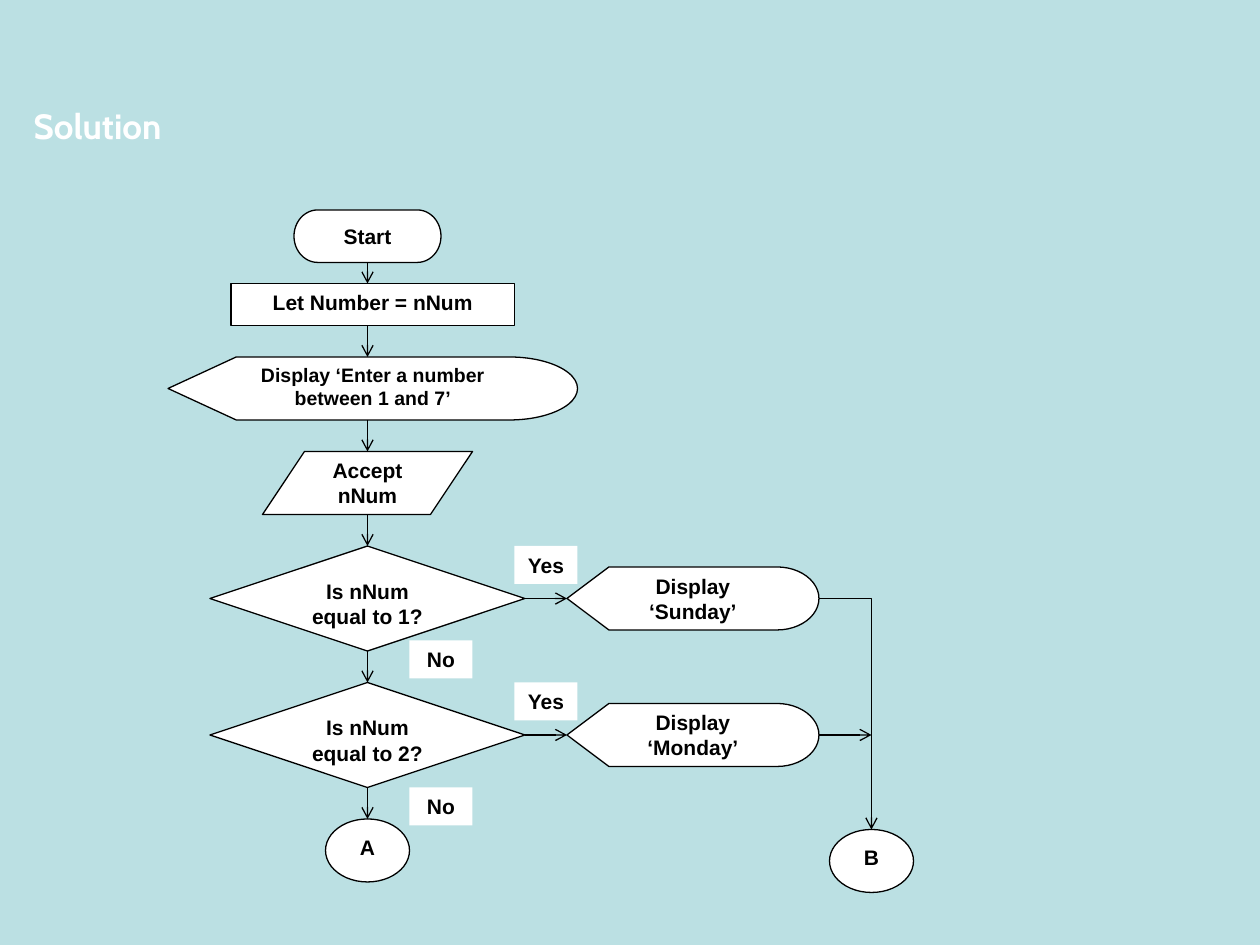
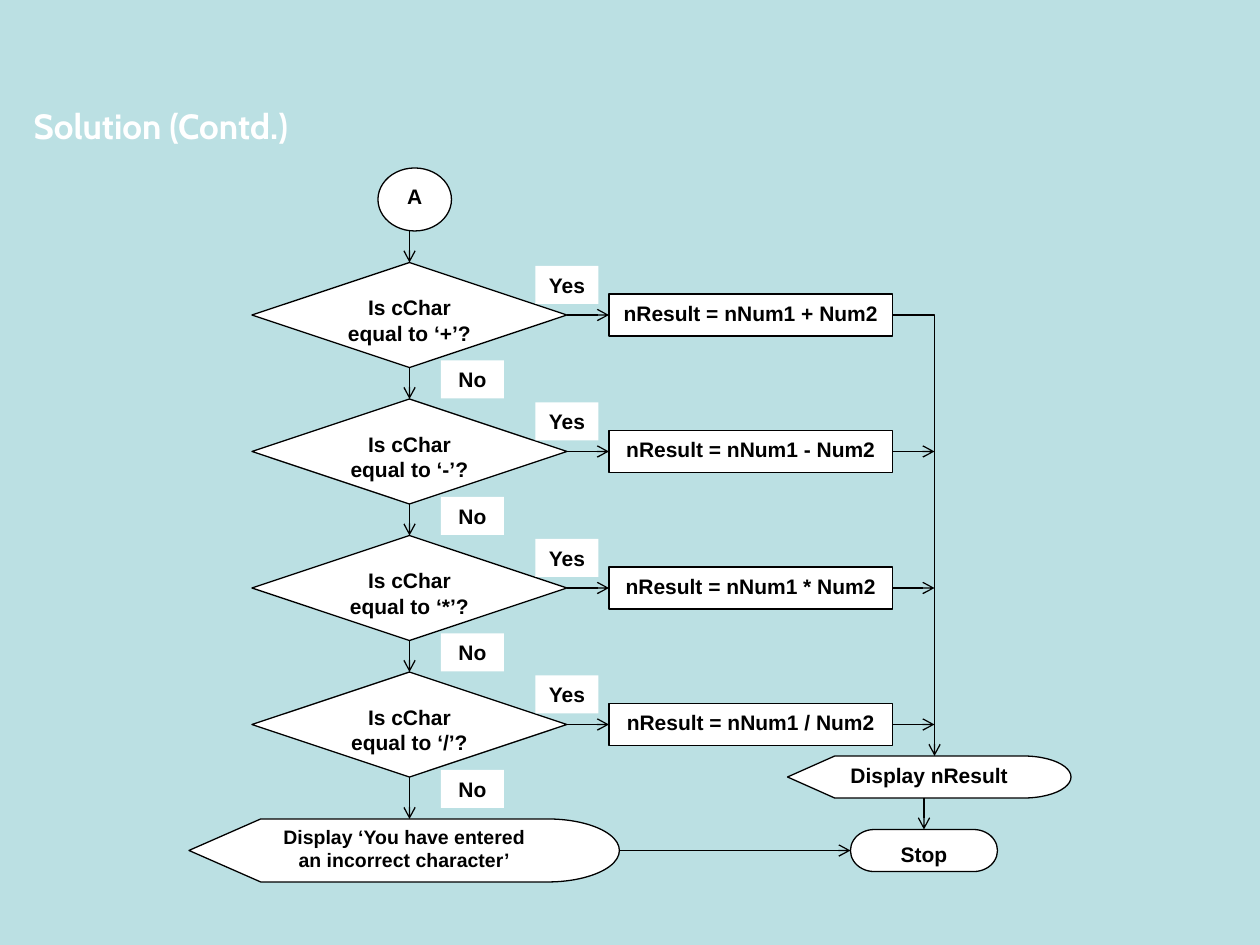
import pptx
import pptx.dml.color
import pptx.enum.shapes
import pptx.enum.text
import pptx.oxml.ns
import pptx.util
from lxml import etree

Pt = pptx.util.Pt
hex_color = pptx.dml.color.RGBColor.from_string
qn = pptx.oxml.ns.qn
SHAPE = pptx.enum.shapes.MSO_SHAPE
CONNECTOR = pptx.enum.shapes.MSO_CONNECTOR
TEXT = pptx.enum.text

BACKGROUND = "BBE0E3"
WHITE = "FFFFFF"
BLACK = "000000"
ROW_STEP = 78  # distance from one decision to the next


def add_step(page, kind, text, left, top, width, height, size=12, outlined=True):
    """Add a white flowchart symbol, or a label when it is not outlined."""
    box = page.shapes.add_shape(kind, Pt(left), Pt(top), Pt(width), Pt(height))
    box.shadow.inherit = False
    box.fill.solid()
    box.fill.fore_color.rgb = hex_color(WHITE)
    if outlined:
        box.line.color.rgb = hex_color(BLACK)
        box.line.width = Pt(0.75)
    else:
        box.line.fill.background()
    box.text_frame.word_wrap = True
    box.text_frame.vertical_anchor = TEXT.MSO_ANCHOR.TOP
    para = box.text_frame.paragraphs[0]
    para.text = text
    para.alignment = TEXT.PP_ALIGN.CENTER
    para.font.name = "Arial"
    para.font.size = Pt(size)
    para.font.bold = True
    para.font.color.rgb = hex_color(BLACK)


def add_arrow(page, start_x, start_y, end_x, end_y):
    """Draw an arrow; one that moves both ways runs across, then down."""
    bent = start_x != end_x and start_y != end_y
    kind = CONNECTOR.ELBOW if bent else CONNECTOR.STRAIGHT
    arrow = page.shapes.add_connector(kind, Pt(start_x), Pt(start_y), Pt(end_x), Pt(end_y))
    arrow.line.color.rgb = hex_color(BLACK)
    arrow.line.width = Pt(0.75)
    properties = arrow._element.spPr
    if bent:
        properties.find(qn("a:prstGeom")).set("prst", "bentConnector2")
    etree.SubElement(properties.find(qn("a:ln")), qn("a:tailEnd"), type="arrow")
    etree.SubElement(properties, qn("a:effectLst"))


deck = pptx.Presentation()
deck.slide_width = Pt(720)
deck.slide_height = Pt(540)
master_fill = deck.slide_master.background.fill
master_fill.solid()
master_fill.fore_color.rgb = hex_color(BACKGROUND)

pages = []
for heading in ("Solution", "Solution (Contd.)"):
    page = deck.slides.add_slide(deck.slide_layouts.get_by_name("Title Only"))
    title = page.shapes.title
    title.left, title.top, title.width, title.height = Pt(12), Pt(56), Pt(540), Pt(31.5)
    title.text_frame.vertical_anchor = TEXT.MSO_ANCHOR.TOP
    title.text_frame.auto_size = TEXT.MSO_AUTO_SIZE.SHAPE_TO_FIT_TEXT
    para = title.text_frame.paragraphs[0]
    para.text = heading
    para.alignment = TEXT.PP_ALIGN.LEFT
    para.font.name = "Cabin"
    para.font.size = Pt(20)
    para.font.bold = True
    para.font.color.rgb = hex_color(WHITE)
    pages.append(page)
days_page, operators_page = pages

# Slide 1: name of the day
add_step(days_page, SHAPE.FLOWCHART_TERMINATOR, "Start", 168, 120, 84, 30)
add_step(days_page, SHAPE.FLOWCHART_PROCESS, "Let Number = nNum", 132, 162, 162, 24)
add_step(days_page, SHAPE.FLOWCHART_DISPLAY, "Display ‘Enter a number between 1 and 7’",
         96, 204, 234, 36, size=11.1)
add_step(days_page, SHAPE.FLOWCHART_DATA, "Accept nNum", 150, 258, 120, 36)

for row, (day, no_top) in enumerate((("Sunday", 366), ("Monday", 450))):
    top = 312 + row * ROW_STEP
    middle = top + 30
    add_step(days_page, SHAPE.FLOWCHART_DECISION, f"Is nNum equal to {row + 1}?",
             120, top, 180, 60)
    add_step(days_page, SHAPE.FLOWCHART_DISPLAY, f"Display ‘{day}’", 324, top + 12, 144, 36)
    add_step(days_page, SHAPE.RECTANGLE, "Yes", 294, top, 36, 21.7, outlined=False)
    add_step(days_page, SHAPE.RECTANGLE, "No", 234, no_top, 36, 21.7, outlined=False)
    add_arrow(days_page, 300, middle, 324, middle)

add_step(days_page, SHAPE.FLOWCHART_CONNECTOR, "A", 186, 468, 48, 36)
add_step(days_page, SHAPE.FLOWCHART_CONNECTOR, "B", 474, 474, 48, 36)
for start_y, end_y in ((150, 162), (186, 204), (240, 258), (294, 312), (372, 390), (450, 468)):
    add_arrow(days_page, 210, start_y, 210, end_y)
add_arrow(days_page, 468, 342, 498, 474)
add_arrow(days_page, 468, 420, 498, 420)

# Slide 2: calculation by operator
add_step(operators_page, SHAPE.FLOWCHART_CONNECTOR, "A", 216, 96, 42, 36)
add_arrow(operators_page, 234, 132, 234, 150)

for row, operator in enumerate("+-*/"):
    top = 150 + row * ROW_STEP
    middle = top + 30
    add_step(operators_page, SHAPE.FLOWCHART_DECISION, f"Is cChar equal to ‘{operator}’?",
             144, top, 180, 60)
    add_step(operators_page, SHAPE.FLOWCHART_PROCESS, f"nResult = nNum1 {operator} Num2",
             348, top + 18, 162, 24)
    add_step(operators_page, SHAPE.RECTANGLE, "Yes", 306, top + 2, 36, 21.7, outlined=False)
    add_step(operators_page, SHAPE.RECTANGLE, "No", 252, top + 56, 36, 21.7, outlined=False)
    add_arrow(operators_page, 324, middle, 348, middle)
    add_arrow(operators_page, 234, top + 60, 234, 468 if operator == "/" else top + ROW_STEP)
    # The first result leads the way down to the display; the others join it.
    add_arrow(operators_page, 510, middle, 534, 432 if row == 0 else middle)

add_step(operators_page, SHAPE.FLOWCHART_DISPLAY,
         "Display ‘You have entered an incorrect character’", 108, 468, 246, 36, size=11.1)
add_step(operators_page, SHAPE.FLOWCHART_DISPLAY, "Display nResult", 450, 432, 162, 24)
add_step(operators_page, SHAPE.FLOWCHART_TERMINATOR, "Stop", 486, 474, 84, 24)
add_arrow(operators_page, 528, 456, 528, 474)
add_arrow(operators_page, 354, 486, 486, 486)

deck.save("out.pptx")
